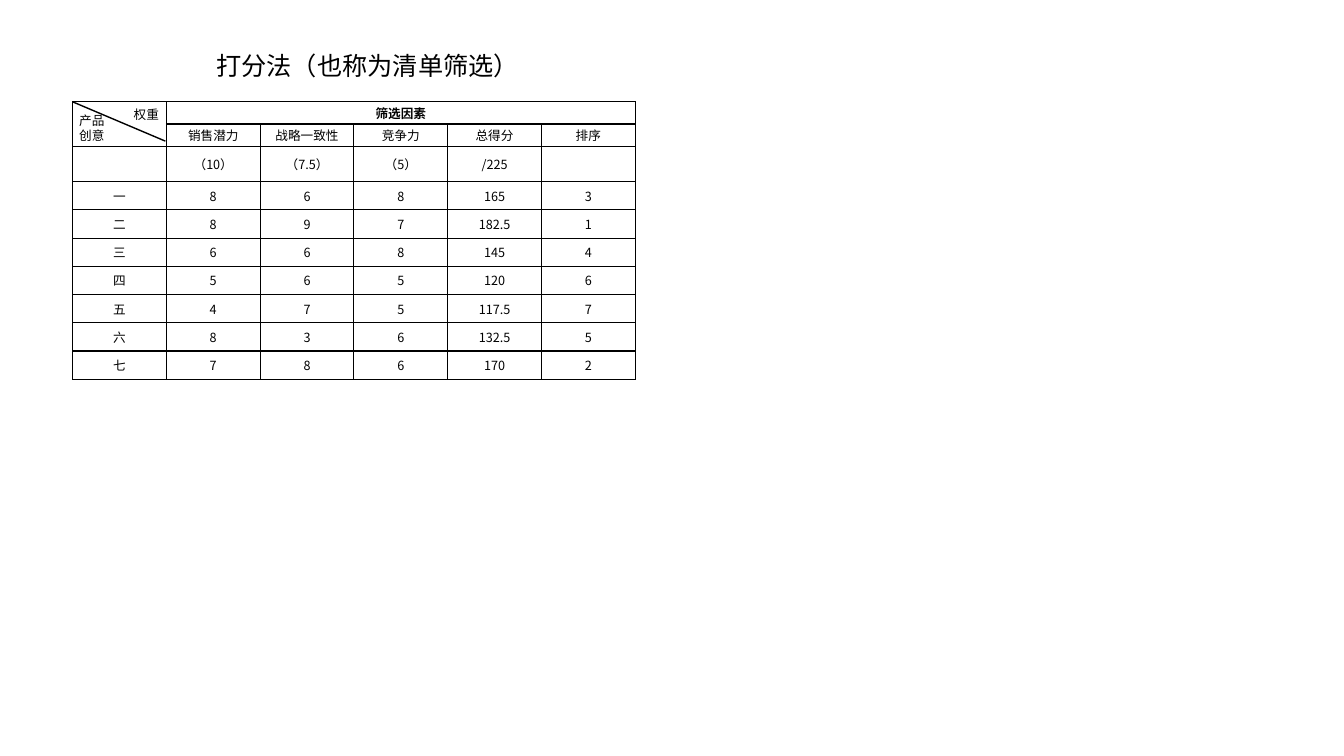
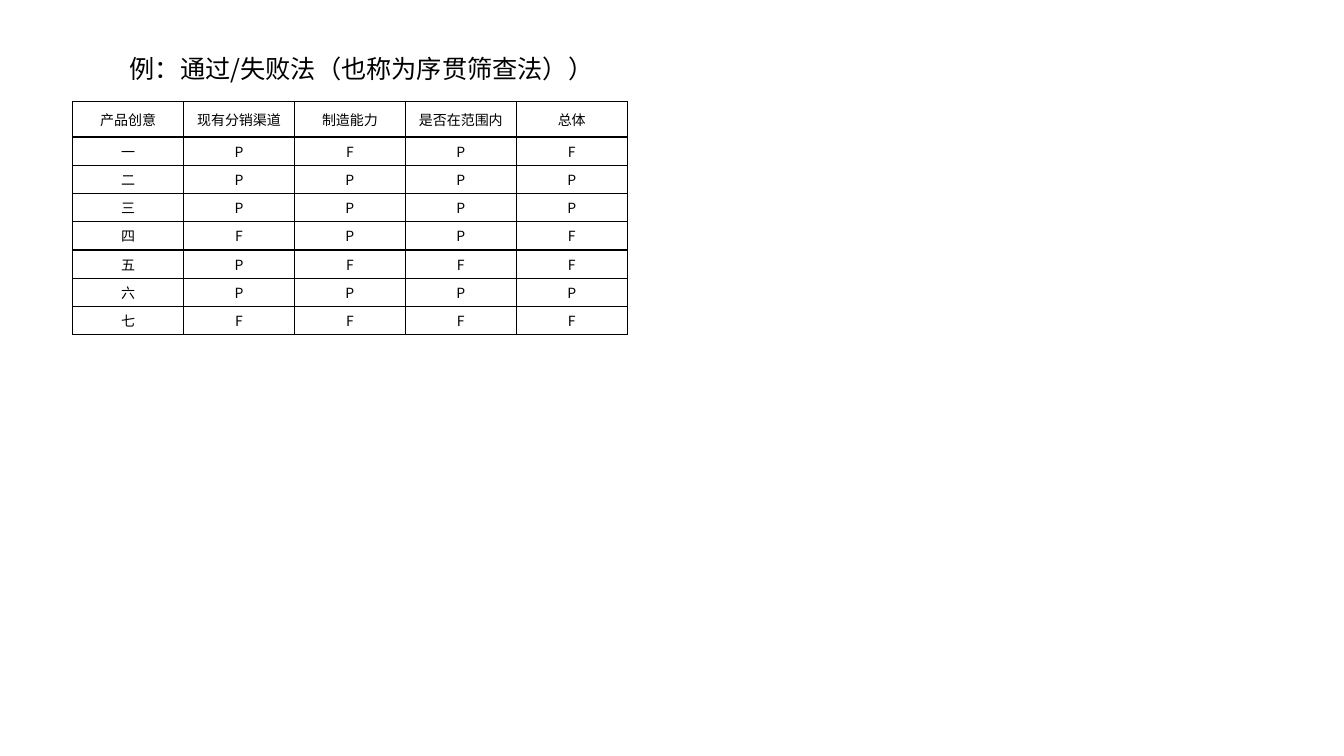
"""Build two slides that compare ways of screening product ideas."""
from dataclasses import dataclass

from lxml import etree
from pptx import Presentation
from pptx import util as u
from pptx.dml.color import RGBColor
from pptx.enum import shapes, text
from pptx.oxml import ns

FONT = "Noto Sans CJK SC"
INK = "000000"
LINE_WIDTH = u.Pt(1)
TITLE_SIZE = 18
LABEL_SIZE = 9
TABLE_LEFT, TABLE_TOP = 0.72, 1.01
HEAD_HEIGHT, ROW_HEIGHT = 0.35, 0.28
IDEAS = "一二三四五六七"

LABEL_FORMAT = {
    "word_wrap": True,
    "vertical_anchor": text.MSO_ANCHOR.MIDDLE,
    "margin_left": u.Inches(0.39),
    "margin_right": u.Inches(0.1),
    "margin_top": u.Inches(0.05),
    "margin_bottom": u.Inches(0.05),
}
CELL_FORMAT = {
    "vertical_anchor": text.MSO_ANCHOR.MIDDLE,
    "margin_left": u.Inches(0.05),
    "margin_right": u.Inches(0.05),
    "margin_top": u.Inches(0.02),
    "margin_bottom": u.Inches(0.02),
}


@dataclass(frozen=True)
class Label:
    words: str
    left: float
    top: float
    width: float
    height: float = 0.44
    size: int = LABEL_SIZE


@dataclass(frozen=True)
class Grid:
    rows: list[list[str]]
    heights: list[float]
    column_width: float
    size: int


SCORE_TITLE = Label("打分法（也称为清单筛选）", 1.44, 0.43, 4.12, size=TITLE_SIZE)
PASS_TITLE = Label("例：通过/失败法（也称为序贯筛查法））", 0.89, 0.46, 5.1, size=TITLE_SIZE)
CORNER_LABELS = [
    Label("产品创意", 0.35, 1.05, 0.83),
    Label("权重", 0.89, 0.92, 0.83),
]
SCORES = ["8 6 8 165 3", "8 9 7 182.5 1", "6 6 8 145 4", "5 6 5 120 6",
          "4 7 5 117.5 7", "8 3 6 132.5 5", "7 8 6 170 2"]
RESULTS = ["PFPF", "PPPP", "PPPP", "FPPF", "PFFF", "PPPP", "FFFF"]

SCORE_GRID = Grid(
    rows=[
        ["", "筛选因素", "", "", "", ""],
        ["", "销售潜力", "战略一致性", "竞争力", "总得分", "排序"],
        ["", "（10）", "（7.5）", "（5）", "/225", ""],
        *([idea, *scores.split()] for idea, scores in zip(IDEAS, SCORES)),
    ],
    heights=[0.2, 0.2, HEAD_HEIGHT] + [ROW_HEIGHT] * len(IDEAS),
    column_width=0.93,
    size=9,
)
PASS_GRID = Grid(
    rows=[
        ["产品创意", "现有分销渠道", "制造能力", "是否在范围内", "总体"],
        *([idea, *results] for idea, results in zip(IDEAS, RESULTS)),
    ],
    heights=[HEAD_HEIGHT] + [ROW_HEIGHT] * len(IDEAS),
    column_width=1.1,
    size=10,
)


def color(value: str) -> RGBColor:
    """Turn a hex string into a colour."""
    return RGBColor.from_string(value)


def apply(target, values: dict) -> None:
    """Set every attribute named in the dict."""
    for name, value in values.items():
        setattr(target, name, value)


def write(frame, words: str, size: int, bold: bool = False) -> None:
    """Write one centred paragraph, sizing its end mark when it is empty."""
    paragraph = frame.paragraphs[0]
    paragraph.alignment = text.PP_ALIGN.CENTER
    if not words:
        etree.SubElement(paragraph._p, ns.qn("a:endParaRPr"), sz=str(size * 100))
        return
    run = paragraph.add_run()
    run.text = words
    apply(run.font, {"name": FONT, "size": u.Pt(size), "bold": bold})
    run.font.color.rgb = color(INK)
    etree.SubElement(run.font._element, ns.qn("a:ea"), typeface=FONT)


def add_label(container, label: Label) -> None:
    """Add an unfilled box of text to a slide's shapes or a group's shapes."""
    shape = container.add_shape(
        shapes.MSO_SHAPE.ROUNDED_RECTANGLE, u.Inches(label.left), u.Inches(label.top),
        u.Inches(label.width), u.Inches(label.height))
    shape.adjustments[0] = 0
    shape.shadow.inherit = False
    shape.fill.background()
    shape.line.fill.background()
    apply(shape.text_frame, LABEL_FORMAT)
    write(shape.text_frame, label.words, label.size)


def add_borders(cell) -> None:
    """Draw a thin line on all four sides of a cell."""
    properties = cell._tc.get_or_add_tcPr()
    for side in ("lnL", "lnR", "lnT", "lnB"):
        line = etree.SubElement(properties, ns.qn(f"a:{side}"), w=str(LINE_WIDTH))
        fill = etree.SubElement(line, ns.qn("a:solidFill"))
        etree.SubElement(fill, ns.qn("a:srgbClr"), val=INK)


def add_grid(slide, grid: Grid):
    """Add a bordered table and return it."""
    columns = len(grid.rows[0])
    table = slide.shapes.add_table(
        len(grid.rows), columns, u.Inches(TABLE_LEFT), u.Inches(TABLE_TOP),
        u.Inches(grid.column_width * columns), u.Inches(sum(grid.heights))).table
    apply(table, {"first_row": False, "horz_banding": False})
    for column in table.columns:
        column.width = u.Inches(grid.column_width)
    for row, height, entries in zip(table.rows, grid.heights, grid.rows):
        row.height = u.Inches(height)
        for cell, words in zip(row.cells, entries):
            apply(cell, CELL_FORMAT)
            add_borders(cell)
            cell.fill.background()
            write(cell.text_frame, words, grid.size, bold=words == "筛选因素")
    return table


def add_corner(slide) -> None:
    """Add the split heading of the top left cell as one group."""
    group = slide.shapes.add_group_shape()
    for label in CORNER_LABELS:
        add_label(group.shapes, label)
    diagonal = group.shapes.add_connector(
        shapes.MSO_CONNECTOR.STRAIGHT, u.Inches(TABLE_LEFT), u.Inches(TABLE_TOP),
        u.Inches(1.64), u.Inches(1.4))
    diagonal.line.color.rgb = color(INK)
    diagonal.line.width = LINE_WIDTH
    etree.SubElement(diagonal._element.spPr, ns.qn("a:effectLst"))


def add_slide(presentation, title: Label):
    """Add a blank slide with its title."""
    slide = presentation.slides.add_slide(presentation.slide_layouts[6])
    add_label(slide.shapes, title)
    return slide


def main() -> None:
    """Build and save the presentation."""
    presentation = Presentation()
    apply(presentation, {"slide_width": u.Inches(13.33), "slide_height": u.Inches(7.5)})

    score_slide = add_slide(presentation, SCORE_TITLE)
    score_table = add_grid(score_slide, SCORE_GRID)
    score_table.cell(0, 0).merge(score_table.cell(1, 0))
    score_table.cell(0, 1).merge(score_table.cell(0, 5))
    add_corner(score_slide)

    add_grid(add_slide(presentation, PASS_TITLE), PASS_GRID)
    presentation.save("out.pptx")


if __name__ == "__main__":
    main()
